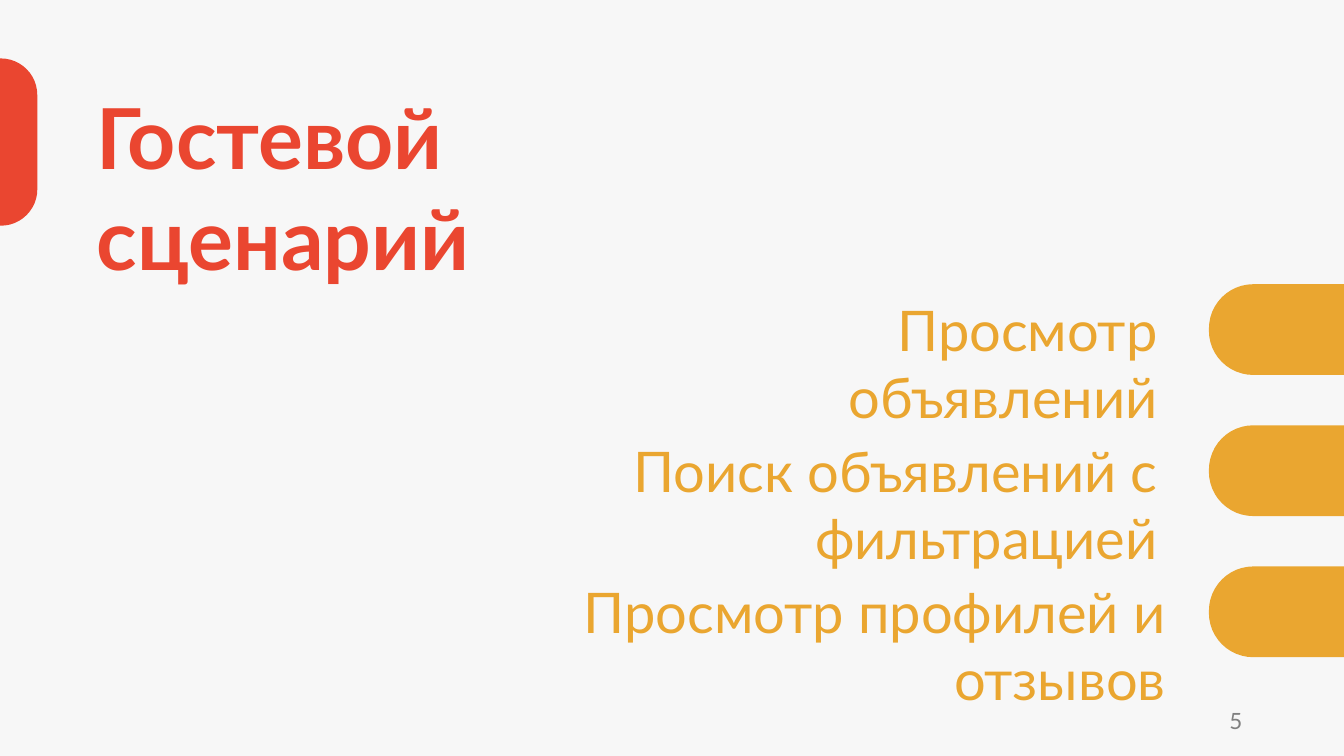
from pptx import Presentation
from pptx.dml.color import RGBColor
from pptx.enum.shapes import MSO_SHAPE as Shape
from pptx.enum.text import MSO_ANCHOR as Anchor, MSO_AUTO_SIZE as AutoSize, PP_ALIGN as Align
from pptx.util import Inches, Pt

COLORS = {"page": "F7F7F7", "red": "EA4630", "amber": "EAA630", "gray": "808080"}
FONT = "Lato"
ROW_TOP, ROW_STEP = 2.82, 1.4

# Scenario step, right edge and width of its text box
STEPS = [
    ("Просмотр объявлений", 11.58, 5.57),
    ("Поиск объявлений с фильтрацией", 11.58, 8.48),
    ("Просмотр профилей и отзывов", 11.66, 7.67),
]


def color(name):
    return RGBColor.from_string(COLORS[name])


def write(box, text, size, tint, align, anchor=Anchor.TOP, bold=False):
    frame = box.text_frame
    frame.text = text
    frame.word_wrap = True
    frame.auto_size = AutoSize.NONE
    frame.vertical_anchor = anchor
    para = frame.paragraphs[0]
    para.alignment = align
    font = para.runs[0].font
    font.name, font.size, font.bold = FONT, Pt(size), bold
    font.color.rgb = color(tint)


def add_title(page, text):
    title = page.shapes.title
    title.left, title.top = Inches(0.86), Inches(0.8)
    title.width, title.height = Inches(7.2), Inches(1.11)
    write(title, text, 60, "red", Align.LEFT, bold=True)


def add_text(page, left, top, width, height, text, size, tint, anchor=Anchor.TOP):
    box = page.shapes.add_textbox(Inches(left), Inches(top), Inches(width), Inches(height))
    write(box, text, size, tint, Align.RIGHT, anchor)


def add_tab(page, left, top, width, height, tint):
    tab = page.shapes.add_shape(
        Shape.ROUNDED_RECTANGLE, Inches(left), Inches(top), Inches(width), Inches(height))
    tab.adjustments[0] = 0.489
    tab.shadow.inherit = False
    tab.fill.solid()
    tab.fill.fore_color.rgb = color(tint)
    tab.line.fill.background()


def main():
    deck = Presentation()
    deck.slide_width, deck.slide_height = Inches(13.33), Inches(7.5)
    page = deck.slides.add_slide(deck.slide_layouts[5])
    page.background.fill.solid()
    page.background.fill.fore_color.rgb = color("page")

    # Heading with its edge tab
    add_title(page, "Гостевой сценарий")
    add_tab(page, -0.37, 0.58, 0.74, 1.66, "red")

    # Scenario steps, each with a tab at the right edge
    for row, (step, right, width) in enumerate(STEPS):
        top = ROW_TOP + row * ROW_STEP
        add_text(page, right - width, top + 0.06, width, 0.77, step, 40, "amber")
        add_tab(page, 11.99, top, 2.41, 0.9, "amber")

    # Page number
    add_text(page, 9.42, 6.95, 3, 0.4, "5", 16, "gray", Anchor.MIDDLE)

    deck.save("out.pptx")


if __name__ == "__main__":
    main()
